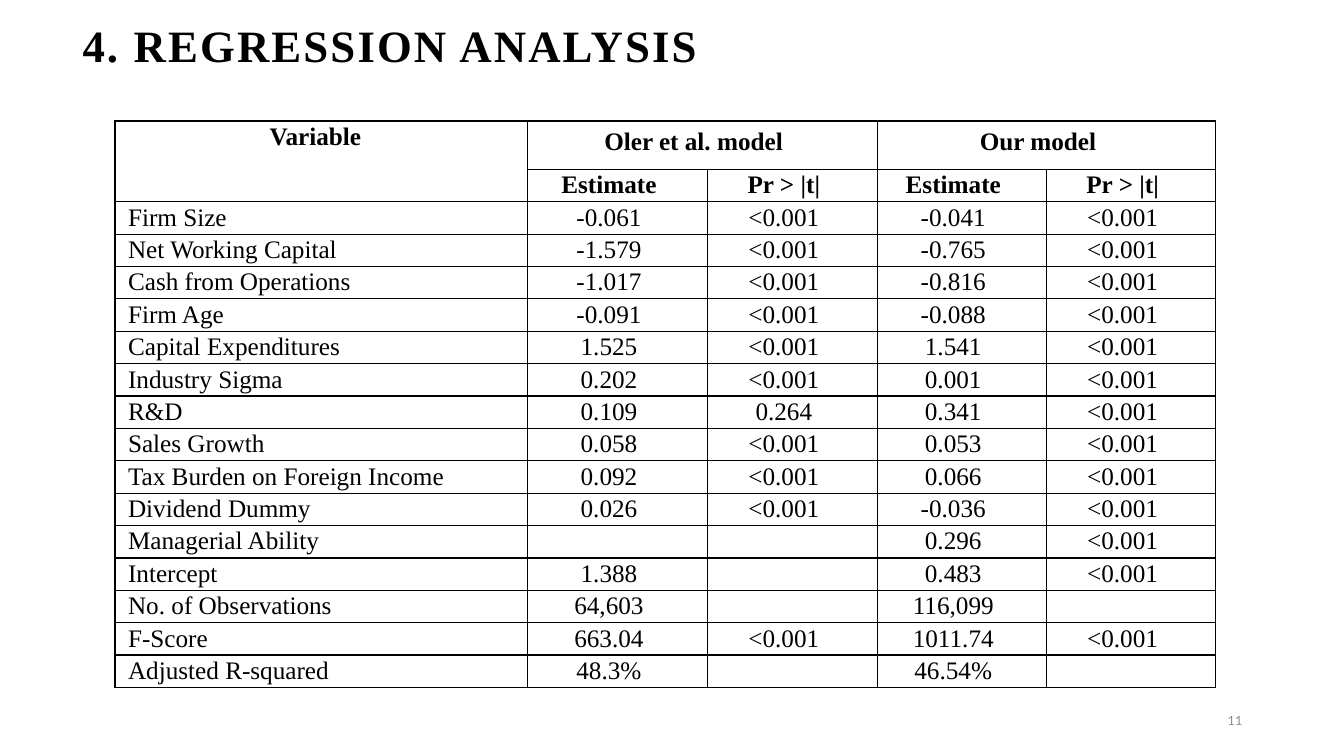
from dataclasses import dataclass

from lxml import etree
from pptx import Presentation
from pptx.dml.color import RGBColor
from pptx.enum import text
from pptx.oxml import ns
from pptx.util import Inches, Pt


@dataclass(frozen=True)
class Theme:
    serif: str = "Times New Roman"
    sans: str = "Lato"
    ink: str = "000000"
    muted: str = "8C8C8C"
    title_size: int = 32
    table_size: int = 18
    number_size: int = 9
    border: int = 1


theme = Theme()
CENTER = text.PP_ALIGN.CENTER
LEFT = text.PP_ALIGN.LEFT
RIGHT = text.PP_ALIGN.RIGHT


def write(frame, words, size, name, color, bold=False, align=LEFT, spacing=1.0):
    paragraph = frame.paragraphs[0]
    paragraph.alignment = align
    paragraph.line_spacing = spacing
    font = paragraph.font
    font.size = Pt(size)
    font.name = name
    font.bold = bold
    font.color.rgb = RGBColor.from_string(color)
    if words:
        paragraph.add_run().text = words
    return paragraph


def draw_borders(cell):
    properties = cell._tc.get_or_add_tcPr()
    for side in ("lnL", "lnR", "lnT", "lnB"):
        line = etree.SubElement(properties, ns.qn(f"a:{side}"), w=str(Pt(theme.border)))
        fill = etree.SubElement(line, ns.qn("a:solidFill"))
        etree.SubElement(fill, ns.qn("a:srgbClr"), val=theme.ink)


presentation = Presentation()
presentation.slide_width = Inches(13.33)
presentation.slide_height = Inches(7.5)
slide = presentation.slides.add_slide(presentation.slide_layouts[6])

number = slide.shapes.add_textbox(Inches(9.42), Inches(6.95), Inches(3), Inches(0.4))
number.text_frame.word_wrap = True
number.text_frame.vertical_anchor = text.MSO_ANCHOR.MIDDLE
write(number.text_frame, "11", theme.number_size, theme.sans, theme.muted, align=RIGHT)

title = slide.shapes.add_textbox(Inches(0.72), Inches(0), Inches(7.09), Inches(0.77))
title.text_frame.word_wrap = True
title.text_frame.vertical_anchor = text.MSO_ANCHOR.BOTTOM
heading = write(title.text_frame, "4. REGRESSION ANALYSIS", theme.title_size,
                theme.serif, theme.ink, bold=True, spacing=0.9)
heading.runs[0].font._element.set("spc", "150")

rows = [
    (" Variable", "Oler et al. model", "", "Our model", ""),
    ("", "Estimate", "Pr > |t|", "Estimate", "Pr > |t|"),
    ("Firm Size", "-0.061", "<0.001", "-0.041", "<0.001"),
    ("Net Working Capital", "-1.579", "<0.001", "-0.765", "<0.001"),
    ("Cash from Operations", "-1.017", "<0.001", "-0.816", "<0.001"),
    ("Firm Age", "-0.091", "<0.001", "-0.088", "<0.001"),
    ("Capital Expenditures", "1.525", "<0.001", "1.541", "<0.001"),
    ("Industry Sigma", "0.202", "<0.001", "0.001", "<0.001"),
    ("R&D", "0.109", "0.264", "0.341", "<0.001"),
    ("Sales Growth", "0.058", "<0.001", "0.053", "<0.001"),
    ("Tax Burden on Foreign Income", "0.092", "<0.001", "0.066", "<0.001"),
    ("Dividend Dummy", "0.026", "<0.001", "-0.036", "<0.001"),
    ("Managerial Ability", "", "", "0.296", "<0.001"),
    ("Intercept", "1.388", "", "0.483", "<0.001"),
    ("No. of Observations", "64,603", "", "116,099", ""),
    ("F-Score", "663.04", "<0.001", "1011.74", "<0.001"),
    ("Adjusted R-squared", "48.3%", "", "46.54%", ""),
]
column_widths = (4.09, 1.79, 1.68, 1.68, 1.68)
header_rows = 2

table = slide.shapes.add_table(len(rows), len(column_widths), Inches(1.14), Inches(1.2),
                               Inches(10.92), Inches(5.5)).table
table.first_row = False
table.horz_banding = False
for column, width in zip(table.columns, column_widths):
    column.width = Inches(width)

for r, values in enumerate(rows):
    table.rows[r].height = Inches(0.48 if r == 0 else 0.31)
    for c, value in enumerate(values):
        cell = table.cell(r, c)
        group_header = r == 0 and c > 0
        cell.margin_left = Inches(0.1 if group_header else 0.13)
        cell.margin_right = cell.margin_left + Inches(0.17)
        cell.margin_top = cell.margin_bottom = Inches(0.05 if group_header else 0)
        is_header = r < header_rows
        write(cell.text_frame, value, theme.table_size, theme.serif, theme.ink,
              bold=is_header, align=CENTER if is_header or c else LEFT, spacing=1.07)
        draw_borders(cell)
        cell.fill.background()

table.cell(0, 0).merge(table.cell(1, 0))
for c in (1, 3):
    table.cell(0, c).merge(table.cell(0, c + 1))

presentation.save("out.pptx")
